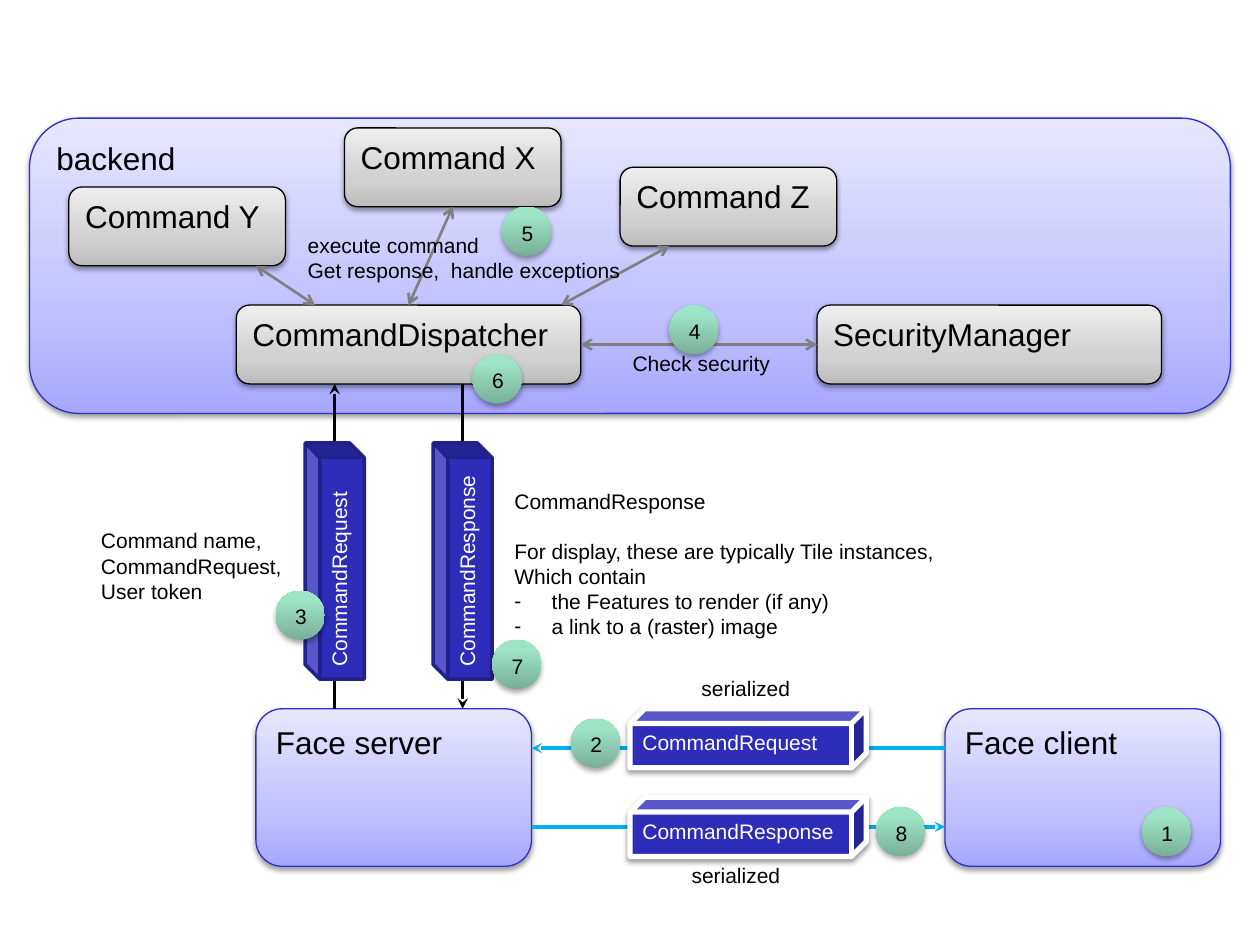
from lxml import etree
from pptx import Presentation
from pptx.dml.color import RGBColor
from pptx.enum.shapes import MSO_CONNECTOR, MSO_SHAPE
from pptx.enum.text import MSO_ANCHOR, PP_ALIGN
from pptx.oxml.ns import qn
from pptx.util import Inches, Pt

ROUNDED, CUBE, CIRCLE = MSO_SHAPE.ROUNDED_RECTANGLE, MSO_SHAPE.CUBE, MSO_SHAPE.OVAL
STRAIGHT, TOP, LEFT = MSO_CONNECTOR.STRAIGHT, MSO_ANCHOR.TOP, PP_ALIGN.LEFT

SLIDE_W, SLIDE_H = 10, 7.5
COLUMNS = 64
CELL = SLIDE_W / COLUMNS  # the grid is square: 64 columns by 48 rows

LILAC = [(0, "A7A7FF"), (35, "C1C1FF"), (100, "E7E7FF")]
GREY = [(0, "BDBDBD"), (35, "D1D1D1"), (100, "EEEEEE")]
MINT = [(0, "79AF98"), (80, "9DE3C5"), (100, "9CE6C6")]
SOFT = {"alpha": 38, "blur": 3.1, "dist": 1.6}
DEEP = {"alpha": 35, "blur": 3.1, "dist": 1.8}

PANEL = {"kind": ROUNDED, "fill": LILAC, "line": ("2E2ECB", 0.75), "shadow": SOFT, "size": 18, "ink": "000000"}
COMPONENT = {**PANEL, "fill": GREY, "line": ("000000", 0.75)}
BADGE = {"kind": CIRCLE, "fill": MINT, "line": None, "shadow": DEEP, "size": 12, "ink": "000000"}
MESSAGE = {"kind": CUBE, "fill": "2D2DB9", "line": ("212189", 2), "shadow": None, "size": 12, "ink": "FFFFFF"}
SERIALIZED = {**MESSAGE, "line": ("FFFFFF", 3), "shadow": SOFT}

CALL = {"color": "808080", "width": 1.5, "headEnd": "arrow", "tailEnd": "arrow"}
TO_END = {"color": "000000", "width": 2, "tailEnd": "stealth"}
TO_CLIENT = {**TO_END, "color": "00B0F0"}

BADGE_SIZE = 2.5
MESSAGE_LENGTH, MESSAGE_DEPTH = 12, 3


def rgb(code):
    return RGBColor.from_string(code)


def grid(*cells):
    return [Inches(cell * CELL) for cell in cells]


def add_xml(parent, tag, **attributes):
    return etree.SubElement(parent, qn(tag), {key: str(value) for key, value in attributes.items()})


def paint(shape, fill):
    """Fill with a hex colour, or with gradient stops that run from bottom to top."""
    if isinstance(fill, str):
        shape.fill.solid()
        shape.fill.fore_color.rgb = rgb(fill)
        return
    shape.fill.gradient()
    shape.fill.gradient_angle = 90
    stops = shape._element.spPr.find(".//" + qn("a:gsLst"))
    for stop in list(stops):
        stops.remove(stop)
    for position, color in fill:
        add_xml(add_xml(stops, "a:gs", pos=position * 1000), "a:srgbClr", val=color)


def cast_shadow(shape, shadow):
    shape.shadow.inherit = False
    if shadow:
        effects = shape._element.spPr.find(qn("a:effectLst"))
        outer = add_xml(effects, "a:outerShdw", blurRad=Pt(shadow["blur"]),
                        dist=Pt(shadow["dist"]), dir=5400000, rotWithShape=0)
        add_xml(add_xml(outer, "a:srgbClr", val="000000"), "a:alpha", val=shadow["alpha"] * 1000)


def write(frame, lines, size, ink, wrap):
    for name, value in {"word_wrap": wrap, "vertical_anchor": TOP}.items():
        setattr(frame, name, value)
    for index, line in enumerate(lines):
        paragraph = frame.paragraphs[0] if index == 0 else frame.add_paragraph()
        paragraph.alignment = LEFT
        run = paragraph.add_run()
        run.text = line
        for name, value in {"name": "Arial", "size": Pt(size)}.items():
            setattr(run.font, name, value)
        run.font.color.rgb = rgb(ink)


def add_part(slide, label, x, y, width, height, style):
    part = slide.shapes.add_shape(style["kind"], *grid(x, y, width, height))
    paint(part, style["fill"])
    if style["line"]:
        color, weight = style["line"]
        part.line.color.rgb = rgb(color)
        part.line.width = Pt(weight)
    else:
        part.line.fill.background()
    cast_shadow(part, style["shadow"])
    write(part.text_frame, [label], style["size"], style["ink"], True)
    return part


def add_badge(slide, number, x, y):
    add_part(slide, str(number), x, y, BADGE_SIZE, BADGE_SIZE, BADGE)


def add_note(slide, lines, x, y, width, height):
    note = slide.shapes.add_textbox(*grid(x, y, width, height))
    write(note.text_frame, lines, 12, "000000", False)
    return note.text_frame.paragraphs


def add_arrow(slide, x1, y1, x2, y2, style):
    arrow = slide.shapes.add_connector(STRAIGHT, *grid(x1, y1, x2, y2))
    arrow.line.color.rgb = rgb(style["color"])
    arrow.line.width = Pt(style["width"])
    for end in ("headEnd", "tailEnd"):
        if end in style:
            add_xml(arrow.line._get_or_add_ln(), "a:" + end, type=style[end])
    add_xml(arrow._element.spPr, "a:effectLst")


def add_dash(paragraph):
    properties = paragraph._p.get_or_add_pPr()
    for name, value in {"marL": Inches(0.25), "indent": Inches(-0.25)}.items():
        properties.set(name, str(value))
    add_xml(properties, "a:buFont", typeface="Arial")
    add_xml(properties, "a:buChar", char="-")


def draw_backend(slide, x, y, width, height):
    add_part(slide, "backend", x, y, width, height, PANEL)
    for label, dx, dy, span in [
        ("CommandDispatcher", 10.5, 9.5, 17.5),
        ("SecurityManager", 40, 9.5, 17.5),
        ("Command X", 16, 0.5, 11),
        ("Command Y", 2, 3.5, 11),
        ("Command Z", 30, 2.5, 11),
    ]:
        add_part(slide, label, x + dx, y + dy, span, 4, COMPONENT)
    for x1, y1, x2, y2 in [
        (28, 11.5, 40, 11.5),
        (14.5, 9.5, 11.5, 7.5),
        (27, 9.5, 32.5, 6.5),
        (19.25, 9.5, 21.5, 4.5),
    ]:
        add_arrow(slide, x + x1, y + y1, x + x2, y + y2, CALL)
    add_note(slide, ["Check security"], x + 30, y + 11.5, 8.3, 1.9)
    add_note(slide, ["execute command", "Get response,  handle exceptions"], x + 13.5, y + 5.5, 17.3, 3.2)
    for number, dx, dy in [(4, 32.5, 9.5), (5, 24, 4.5), (6, 22.5, 12)]:
        add_badge(slide, number, x + dx, y + dy)


def draw_transfer(slide, x, y, width, height):
    """Upright messages between the dispatcher above and the server below."""
    bottom = y + height
    for label, dx, start, end in [
        ("CommandRequest", 12.5, bottom, y),
        ("CommandResponse", 19, y, bottom),
    ]:
        axis = x + dx
        add_arrow(slide, axis, start, axis, end, TO_END)
        message = add_part(slide, label, axis - MESSAGE_LENGTH / 2, y + 9 - MESSAGE_DEPTH / 2,
                           MESSAGE_LENGTH, MESSAGE_DEPTH, MESSAGE)
        message.rotation = 270
    add_note(slide, ["Command name,", "CommandRequest,", "User token"], x, y + 7, 10.6, 4.5)
    response = add_note(slide, [
        "CommandResponse",
        "For display, these are typically Tile instances,",
        "Which contain",
        " the Features to render (if any)",
        " a link to a (raster) image",
    ], x + 21, y + 5, width - 21, 8.4)
    response[1].space_before = Pt(14)
    for paragraph in response[3:]:
        add_dash(paragraph)
    add_badge(slide, 3, x + 9.5, y + 10.5)
    add_badge(slide, 7, x + 20.5, y + 13)


def draw_faces(slide, x, y, width, height):
    """Face server and face client with the serialized messages between them."""
    panel_width, panel_height = 14, 8
    server_edge, client_edge = x + panel_width, x + width - panel_width
    for label, left in [("Face server", x), ("Face client", client_edge)]:
        add_part(slide, label, left, y + 2, panel_width, panel_height, PANEL)
    add_arrow(slide, client_edge, y + 4, server_edge, y + 4, TO_CLIENT)
    add_arrow(slide, server_edge, y + 8, client_edge, y + 8, TO_CLIENT)
    for label, dy in [("CommandRequest", 2), ("CommandResponse", 6.5)]:
        add_part(slide, label, x + 19, y + dy, MESSAGE_LENGTH, MESSAGE_DEPTH, SERIALIZED)
    for dx, dy in [(22, 0), (21.5, 9.5)]:
        add_note(slide, ["serialized"], x + dx, y + dy, 5.8, 1.9)
    for number, dx, dy in [(1, 45, 7), (2, 16, 2.5), (8, 31.5, 7)]:
        add_badge(slide, number, x + dx, y + dy)


def main():
    deck = Presentation()
    deck.slide_width, deck.slide_height = Inches(SLIDE_W), Inches(SLIDE_H)
    slide = deck.slides.add_slide(deck.slide_layouts[6])
    draw_backend(slide, 1.5, 6, 61, 15)
    draw_faces(slide, 13, 34, 49, 12)
    draw_transfer(slide, 4.5, 19.5, 43.8, 16.5)
    deck.save("out.pptx")


if __name__ == "__main__":
    main()
